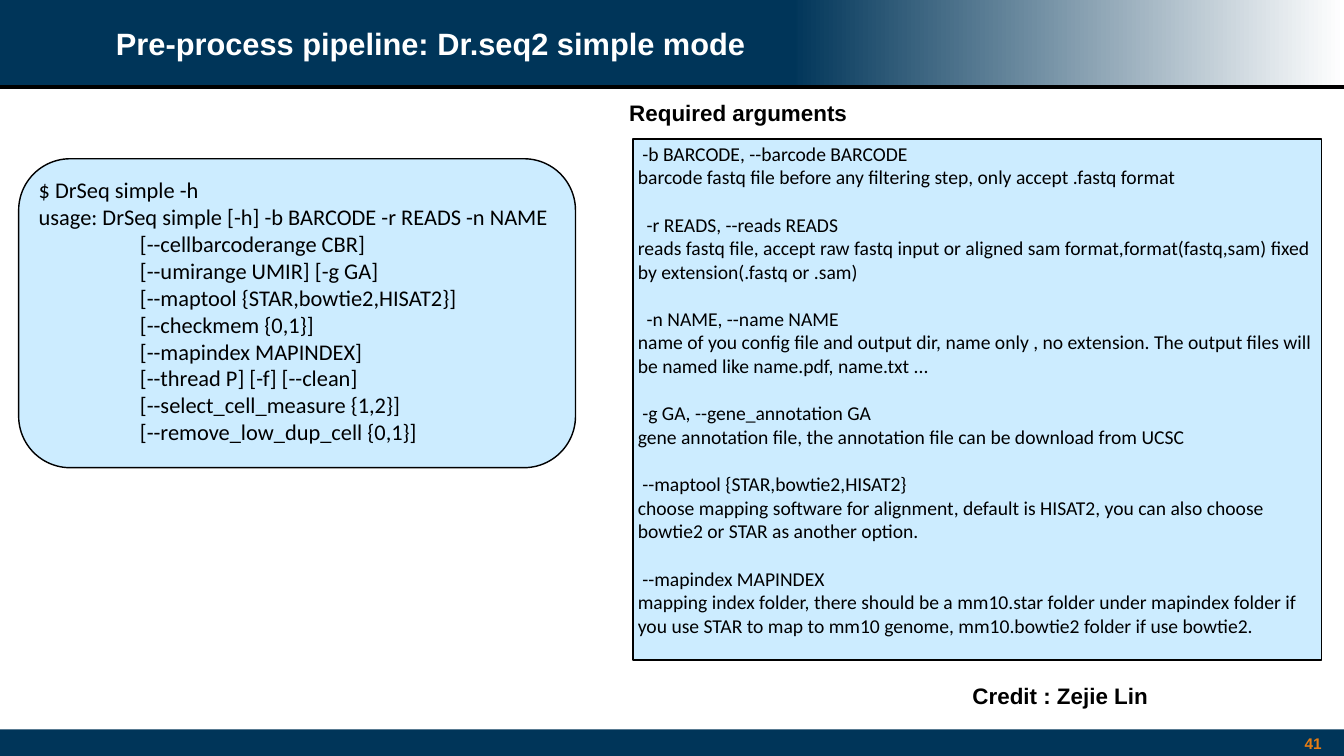
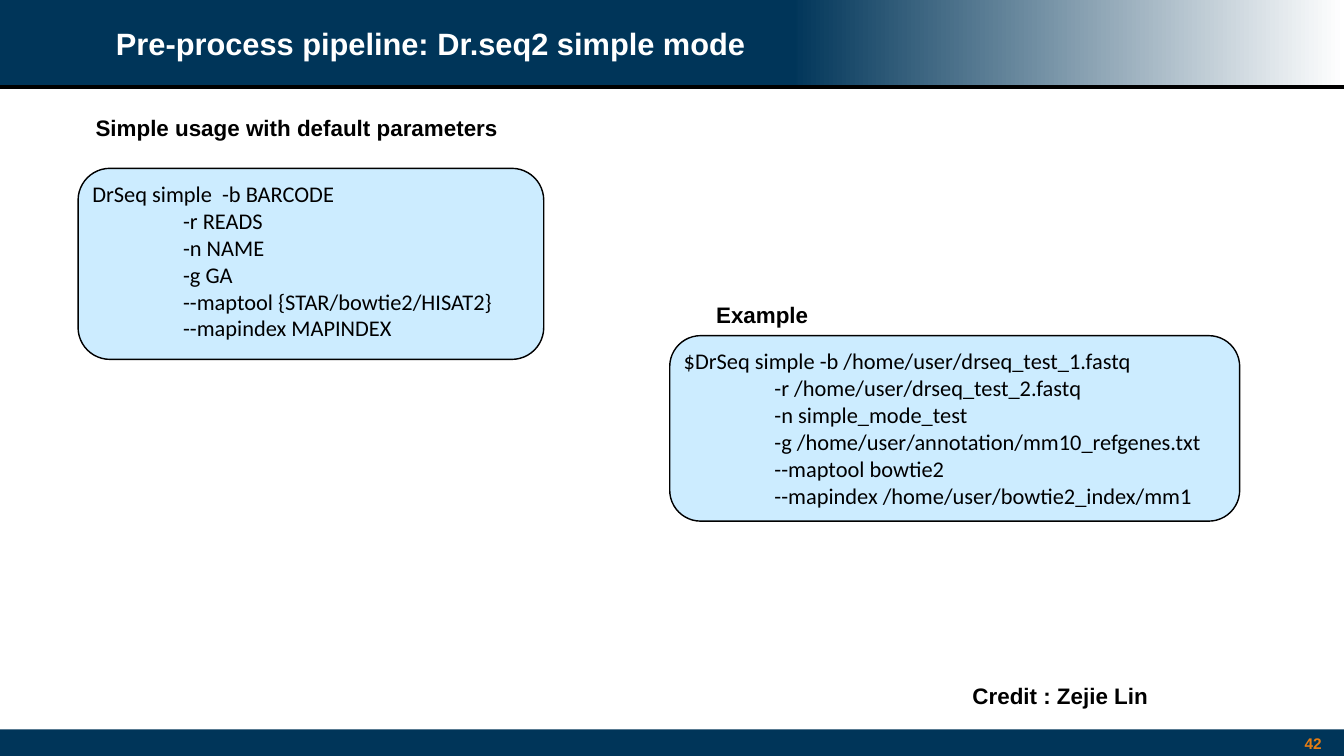
from dataclasses import dataclass

from lxml import etree
from pptx import Presentation
from pptx.dml.color import RGBColor
from pptx.enum.shapes import MSO_CONNECTOR, MSO_SHAPE
from pptx.enum.text import MSO_ANCHOR, MSO_AUTO_SIZE, PP_ALIGN
from pptx.oxml.ns import qn
from pptx.util import Inches, Pt

RECT, ROUNDED = MSO_SHAPE.RECTANGLE, MSO_SHAPE.ROUNDED_RECTANGLE
STRAIGHT = MSO_CONNECTOR.STRAIGHT
TOP, MIDDLE = MSO_ANCHOR.TOP, MSO_ANCHOR.MIDDLE
LEFT, CENTER = PP_ALIGN.LEFT, PP_ALIGN.CENTER
NO_AUTOFIT = MSO_AUTO_SIZE.NONE

NAVY, WHITE, BLACK = "003559", "FFFFFF", "000000"
PALE_BLUE, ORANGE = "CCECFF", "E67D13"
HEAD_FONT, CODE_FONT = "Arial", "Calibri"
WIDTH, HEIGHT, BAND_HEIGHT = 26.67, 15, 1.72
CODE_TABS = (0.9, 1.8)
TITLE = "Pre-process pipeline: Dr.seq2 simple mode"


@dataclass(frozen=True)
class Box:
    left: float
    top: float
    width: float
    height: float

    def lengths(self) -> list:
        return [Inches(v) for v in (self.left, self.top, self.width, self.height)]


@dataclass(frozen=True)
class Heading:
    box: Box
    text: str
    size: int = 32
    color: str = BLACK
    inset_x: float = 0.08
    inset_y: float = 0.08


@dataclass(frozen=True)
class Panel:
    box: Box
    lines: tuple
    size: int = 32
    shape: int = ROUNDED
    gap: float = 0


@dataclass(frozen=True)
class Page:
    number: int
    panels: tuple
    headings: tuple


CREDIT = Heading(Box(17.48, 13.49, 7.12, 0.64), "Credit : Zejie Lin",
                 inset_x=0.1, inset_y=0.05)

USAGE = Panel(Box(0.37, 3.15, 11.05, 6.13), (
    "$ DrSeq simple -h",
    "usage: DrSeq simple [-h] -b BARCODE -r READS -n NAME",
    "                    [--cellbarcoderange CBR]",
    "                    [--umirange UMIR] [-g GA]",
    "                    [--maptool {STAR,bowtie2,HISAT2}]",
    "                    [--checkmem {0,1}]",
    "                    [--mapindex MAPINDEX]",
    "                    [--thread P] [-f] [--clean]",
    "                    [--select_cell_measure {1,2}]",
    "                    [--remove_low_dup_cell {0,1}]",
))

ARGUMENTS = Panel(Box(12.56, 2.76, 13.67, 10.34), (
    " -b BARCODE, --barcode BARCODE",
    "barcode fastq file before any filtering step, only accept .fastq format",
    "  -r READS, --reads READS",
    "reads fastq file, accept raw fastq input or aligned sam format,"
    "format(fastq,sam) fixed by extension(.fastq or .sam)",
    "  -n NAME, --name NAME",
    "name of you config file and output dir, name only , no extension. "
    "The output files will be named like name.pdf, name.txt ...",
    " -g GA, --gene_annotation GA",
    "gene annotation file, the annotation file can be download from UCSC",
    " --maptool {STAR,bowtie2,HISAT2}",
    "choose mapping software for alignment, default is HISAT2, "
    "you can also choose bowtie2 or STAR as another option.",
    " --mapindex MAPINDEX",
    "mapping index folder, there should be a mm10.star folder under mapindex folder "
    "if you use STAR to map to mm10 genome, mm10.bowtie2 folder if use bowtie2.",
), size=28, shape=RECT, gap=34)

EXAMPLE = Panel(Box(13.29, 6.66, 11.31, 3.68), (
    "$DrSeq simple -b /home/user/drseq_test_1.fastq",
    "\t\t-r /home/user/drseq_test_2.fastq",
    "\t\t-n simple_mode_test",
    "\t\t-g /home/user/annotation/mm10_refgenes.txt",
    "\t\t--maptool bowtie2",
    "\t\t--mapindex /home/user/bowtie2_index/mm1",
))

DEFAULTS = Panel(Box(1.55, 3.34, 9.24, 3.79), (
    "DrSeq simple  -b BARCODE",
    "\t\t-r READS",
    "\t\t-n NAME",
    "\t\t-g GA",
    " \t\t--maptool {STAR/bowtie2/HISAT2}",
    "\t\t--mapindex MAPINDEX",
))

PAGES = (
    Page(41, (ARGUMENTS, USAGE), (
        Heading(Box(12.36, 1.89, 4.58, 0.8), "Required arguments"), CREDIT)),
    Page(42, (EXAMPLE, DEFAULTS), (
        Heading(Box(1.16, 2.18, 9.46, 0.69), "Simple usage with default parameters"),
        Heading(Box(13.67, 5.89, 2.91, 0.65), "Example"), CREDIT)),
)


def rgb(color: str) -> RGBColor:
    return RGBColor.from_string(color)


def style(p, font: str, size: int, color: str, bold: bool, align) -> None:
    p.alignment = align
    p.font.name, p.font.size, p.font.bold = font, Pt(size), bold
    p.font.color.rgb = rgb(color)


def set_insets(tf, x: float, y: float) -> None:
    tf.margin_left = tf.margin_right = Inches(x)
    tf.margin_top = tf.margin_bottom = Inches(y)


def add_tabs(p) -> None:
    tabs = etree.SubElement(p._p.get_or_add_pPr(), qn("a:tabLst"))
    for pos in CODE_TABS:
        etree.SubElement(tabs, qn("a:tab"), pos=str(Inches(pos)), algn="l")


def add_block(s, shape: int, box: Box, fill: str):
    sp = s.shapes.add_shape(shape, *box.lengths())
    sp.shadow.inherit = False
    sp.fill.solid()
    sp.fill.fore_color.rgb = rgb(fill)
    sp.line.fill.background()
    return sp


def add_frame(s, layout) -> None:
    fade = add_block(s, RECT, Box(15.67, 0, 11, BAND_HEIGHT), NAVY)
    fade.fill.gradient()
    fade.fill.gradient_angle = 180
    for stop, color in zip(fade.fill.gradient_stops, (WHITE, NAVY)):
        stop.color.rgb = rgb(color)
    band = add_block(s, RECT, Box(0, 0, 15.8, BAND_HEIGHT), NAVY)
    rule = s.shapes.add_connector(
        STRAIGHT, 0, Inches(1.73), Inches(WIDTH), Inches(1.73))
    rule.line.color.rgb = rgb(BLACK)
    rule.line.width = Pt(5)
    etree.SubElement(rule._element.spPr, qn("a:effectLst"))
    footer = add_block(s, RECT, Box(0, 14.47, WIDTH, 0.53), NAVY)
    for i, part in enumerate((fade, band, rule, footer)):
        layout.shapes.element.insert(2 + i, part._element)


def add_title(s) -> None:
    sp = s.shapes.title
    sp.left, sp.top, sp.width, sp.height = Box(2.22, 0, 22.22, BAND_HEIGHT).lengths()
    tf = sp.text_frame
    tf.text = TITLE
    tf.auto_size = NO_AUTOFIT
    tf.vertical_anchor = MIDDLE
    set_insets(tf, 0.08, 0.08)
    style(tf.paragraphs[0], HEAD_FONT, 44, WHITE, True, LEFT)


def add_heading(s, heading: Heading) -> None:
    tf = s.shapes.add_textbox(*heading.box.lengths()).text_frame
    tf.word_wrap = True
    set_insets(tf, heading.inset_x, heading.inset_y)
    tf.text = heading.text
    style(tf.paragraphs[0], HEAD_FONT, heading.size, heading.color, True, CENTER)


def add_panel(s, panel: Panel) -> None:
    sp = add_block(s, panel.shape, panel.box, PALE_BLUE)
    sp.line.color.rgb = rgb(BLACK)
    sp.line.width = Pt(2)
    tf = sp.text_frame
    tf.word_wrap = True
    tf.vertical_anchor = TOP
    for i, line in enumerate(panel.lines):
        p = tf.add_paragraph() if i else tf.paragraphs[0]
        if i and i % 2 == 0 and panel.gap:
            p.space_before = Pt(panel.gap)
        if "\t" in line:
            add_tabs(p)
        p.add_run().text = line
        style(p, CODE_FONT, panel.size, BLACK, False, LEFT)


def main() -> None:
    prs = Presentation()
    prs.slide_width, prs.slide_height = Inches(WIDTH), Inches(HEIGHT)
    layout = prs.slide_layouts[5]
    for i, page in enumerate(PAGES):
        s = prs.slides.add_slide(layout)
        if i == 0:
            add_frame(s, layout)
        add_title(s)
        add_heading(s, Heading(
            Box(25.71, 14.49, 0.7, 0.51), str(page.number), 22, ORANGE))
        for panel in page.panels:
            add_panel(s, panel)
        for heading in page.headings:
            add_heading(s, heading)
    prs.save("out.pptx")


if __name__ == "__main__":
    main()
